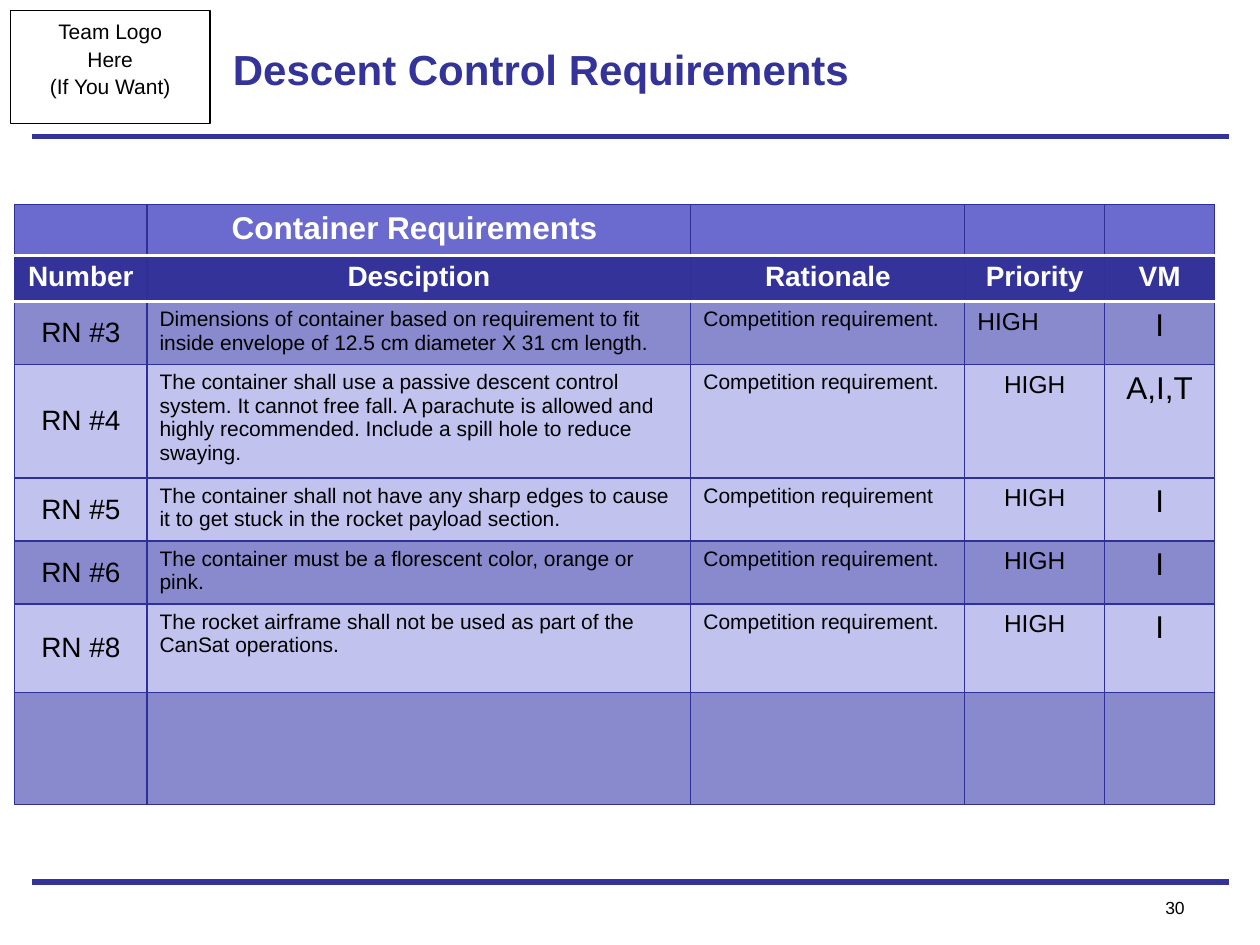
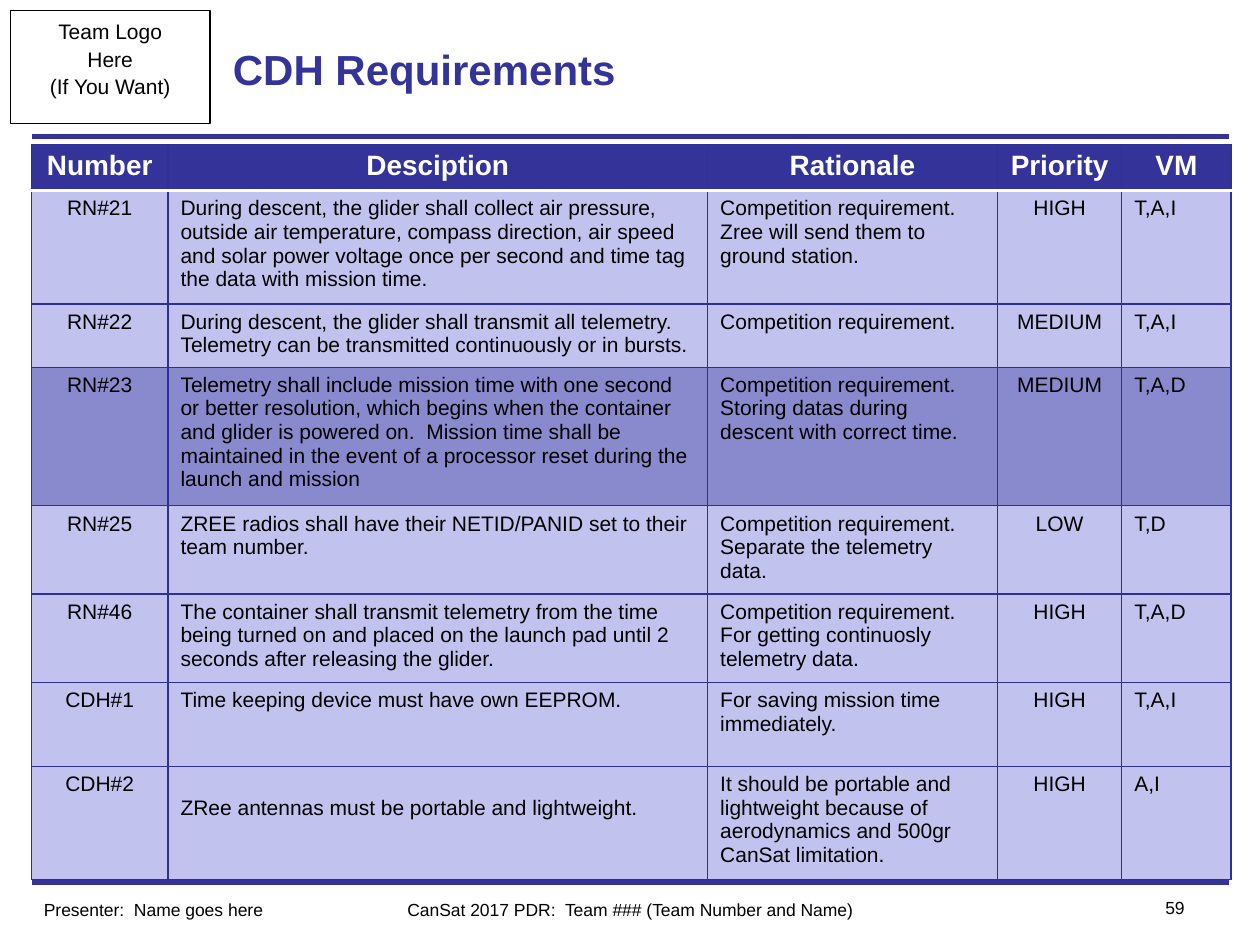
import dataclasses

import lxml.etree
import pptx
import pptx.dml.color
import pptx.enum.shapes
import pptx.enum.text
import pptx.oxml.ns
import pptx.util

ALIGN = pptx.enum.text.PP_ALIGN
ANCHOR = pptx.enum.text.MSO_ANCHOR
L, C, R = ALIGN.LEFT, ALIGN.CENTER, ALIGN.RIGHT


@dataclasses.dataclass(frozen=True)
class Theme:
    """Colours, type sizes and line widths of the deck."""
    font: str = "Arial"
    navy: str = "333399"
    edge: str = "2F2F98"
    band: str = "6B6BCF"
    dark: str = "8989CD"
    pale: str = "C2C2EF"
    ink: str = "000000"
    white: str = "FFFFFF"
    title: int = 24
    large: int = 18
    head: int = 16
    mid: int = 14
    body: int = 12
    foot: int = 10
    rule: float = 3
    thin: float = 0.75
    thick: float = 2


def rgb(tint):
    """Turn a hex string into a colour."""
    return pptx.dml.color.RGBColor.from_string(tint)


class Deck:
    """Draws on a grid of 120 columns by 90 rows."""

    def __init__(self, theme):
        """Start an empty file of 10 by 7.5 inches."""
        self.theme = theme
        self.file = pptx.Presentation()
        self.file.slide_width = pptx.util.Inches(10)
        self.file.slide_height = pptx.util.Inches(7.5)
        self.unit = self.file.slide_width / 120
        self.slide = None

    def grid(self, *spots):
        """Turn grid steps into lengths."""
        return [pptx.util.Emu(round(spot * self.unit)) for spot in spots]

    def fill(self, frame, lines, size, tint=None, bold=False, align=L, gap=None):
        """Fill a text frame, one paragraph a line."""
        for i, line in enumerate(lines):
            para = frame.add_paragraph() if i else frame.paragraphs[0]
            para.alignment = align
            if gap:
                para.line_spacing = gap
            run = para.add_run()
            run.text = line
            run.font.name = self.theme.font
            run.font.size = pptx.util.Pt(size)
            run.font.bold = bold
            run.font.color.rgb = rgb(tint or self.theme.ink)

    def text(self, box, line, size, anchor=ANCHOR.TOP, **style):
        """Add a wrapped text box."""
        frame = self.slide.shapes.add_textbox(*self.grid(*box)).text_frame
        frame.word_wrap = True
        frame.vertical_anchor = anchor
        self.fill(frame, [line], size, **style)

    def rule(self, row):
        """Add a rule across the slide."""
        ends = self.grid(3, row, 117, row)
        line = self.slide.shapes.add_connector(
            pptx.enum.shapes.MSO_CONNECTOR.STRAIGHT, *ends)
        line.line.color.rgb = rgb(self.theme.navy)
        line.line.width = pptx.util.Pt(self.theme.rule)
        props = line._element.spPr
        lxml.etree.SubElement(props, pptx.oxml.ns.qn("a:effectLst"))

    def badge(self, lines):
        """Add the framed box at the top left."""
        shape = self.slide.shapes.add_shape(
            pptx.enum.shapes.MSO_SHAPE.RECTANGLE, *self.grid(1, 1, 19, 10.8))
        shape.shadow.inherit = False
        shape.fill.background()
        shape.line.color.rgb = rgb(self.theme.ink)
        shape.line.width = pptx.util.Pt(self.theme.thin)
        shape.text_frame.word_wrap = True
        shape.text_frame.vertical_anchor = ANCHOR.TOP
        self.fill(shape.text_frame, lines, self.theme.body, align=C, gap=1.09)

    def page(self, title, number):
        """Start a slide with its rules, badge, title and number."""
        self.slide = self.file.slides.add_slide(self.file.slide_layouts[6])
        for row in (84, 13):
            self.rule(row)
        self.badge(["Team Logo", "Here", "(If You Want)"])
        self.text((21, 1, 78, 11), title, self.theme.title, ANCHOR.MIDDLE,
                  tint=self.theme.navy, bold=True)
        self.text((105, 84.8, 9, 3.2), number, self.theme.foot, align=R)

    def border(self, cell, above, below):
        """Line a cell, with heavy white above or below on request."""
        sides = {"L": False, "R": False, "T": above, "B": below}
        props = cell._tc.get_or_add_tcPr()
        for i, (side, heavy) in enumerate(sides.items()):
            width = self.theme.thick if heavy else self.theme.thin
            line = lxml.etree.Element(pptx.oxml.ns.qn("a:ln" + side),
                                      w=str(pptx.util.Pt(width)))
            fill = lxml.etree.SubElement(line, pptx.oxml.ns.qn("a:solidFill"))
            lxml.etree.SubElement(fill, pptx.oxml.ns.qn("a:srgbClr"),
                                  val=self.theme.white if heavy else self.theme.edge)
            props.insert(i, line)

    def table(self, spot, cols, rows, fills, cells, heads, looks):
        """Add a table; looks holds size, alignment and anchor by column."""
        size = (len(rows), len(cols))
        box = self.grid(*spot, sum(cols), sum(rows))
        table = self.slide.shapes.add_table(*size, *box).table
        table.horz_banding = False
        for col, wide in zip(table.columns, self.grid(*cols)):
            col.width = wide
        for row, high in zip(table.rows, self.grid(*rows)):
            row.height = high
        for r, (line, tint) in enumerate(zip(cells, fills)):
            for c, (text, look) in enumerate(zip(line, looks)):
                cell = table.cell(r, c)
                cell.fill.solid()
                cell.fill.fore_color.rgb = rgb(tint)
                self.border(cell, 0 < r <= len(heads), r < len(heads))
                if not text:
                    continue
                if r < len(heads):
                    self.fill(cell.text_frame, [text], heads[r],
                              self.theme.white, True, C)
                else:
                    points, align, cell.vertical_anchor = look
                    self.fill(cell.text_frame, [text], points, align=align)
        return table


HEADS = ("Number", "Desciption", "Rationale", "Priority", "VM")
RULED = "Competition requirement."

DESCENT = [
    ("", "Container Requirements ", "", "", ""),
    HEADS,
    ("RN #3", "Dimensions of container based on requirement to fit inside "
     "envelope of 12.5 cm diameter X 31 cm length.", RULED, "HIGH", "I"),
    ("RN #4", "The container shall use a passive descent control system. It "
     "cannot free fall. A parachute is allowed and highly recommended. "
     "Include a spill hole to reduce swaying.", RULED, "HIGH", "A,I,T"),
    ("RN #5", "The container shall not have any sharp edges to cause it to "
     "get stuck in the rocket payload section.",
     "Competition requirement", "HIGH", "I"),
    ("RN #6", "The container must be a florescent color, orange or pink.",
     RULED, "HIGH", "I"),
    ("RN #8", "The rocket airframe shall not be used as part of the CanSat "
     "operations.", RULED, "HIGH", "I"),
    ("",) * 5,
]

CDH = [
    HEADS,
    ("RN#21", "During descent, the glider shall collect air pressure, outside "
     "air temperature, compass direction, air speed and solar power voltage "
     "once per second and time tag the data with mission time.",
     RULED + " Zree will send them to ground station.", "HIGH", "T,A,I"),
    ("RN#22", "During descent, the glider shall transmit all telemetry. "
     "Telemetry can be transmitted continuously or in bursts.",
     RULED, "MEDIUM", "T,A,I"),
    ("RN#23", "Telemetry shall include mission time with one second or better "
     "resolution, which begins when the container and glider is powered on.  "
     "Mission time shall be maintained in the event of a processor reset "
     "during the launch and mission",
     RULED + " Storing datas during descent with correct time.",
     "MEDIUM", "T,A,D"),
    ("RN#25", "ZREE radios shall have their NETID/PANID set to their team "
     "number.", RULED + " Separate the telemetry data.", "LOW", "T,D"),
    ("RN#46", "The container shall transmit telemetry from the time being "
     "turned on and placed on the launch pad until 2 seconds after releasing "
     "the glider.", RULED + " For getting continuosly telemetry data.",
     "HIGH", "T,A,D"),
    ("CDH#1", "Time keeping device must have own EEPROM.",
     "For saving mission time immediately.", "HIGH", "T,A,I"),
    ("CDH#2", "ZRee antennas must be portable and lightweight.",
     "It should be portable and lightweight because of aerodynamics and "
     "500gr CanSat limitation.", "HIGH", "A,I"),
]


def main():
    """Build both slides and save them."""
    t = Theme()
    deck = Deck(t)
    top = ANCHOR.TOP

    deck.page("Descent Control Requirements", "30")
    looks = [(t.head, C, ANCHOR.MIDDLE), (t.body, L, top), (t.body, L, top),
             (t.mid, C, top), (t.large, C, top)]
    fills = [t.band, t.navy, t.dark, t.pale, t.pale, t.dark, t.pale, t.dark]
    table = deck.table((1.4, 19.5), (12.6, 51.8, 26.1, 13.3, 10.5),
                       (4.5, 4.4, 6, 10.2, 6, 6, 8.4, 10.7),
                       fills, DESCENT, (t.large, t.head), looks)
    table.cell(2, 3).text_frame.paragraphs[0].alignment = L

    deck.page("CDH Requirements", "59")
    deck.text((36, 85, 48, 3.2), "CanSat 2017 PDR:  Team ### (Team Number and Name)",
              t.foot, align=C)
    deck.text((3, 85, 30, 3.2), "Presenter:  Name goes here", t.foot)
    looks = [(t.body, align, top) for align in (C, L, L, C, L)]
    fills = [t.navy, t.pale, t.pale, t.dark] + [t.pale] * 4
    table = deck.table((3, 13.75), (13, 51.4, 27.6, 11.85, 10.4),
                       (4.2, 10.2, 5.7, 12.4, 8, 8, 8, 10.2),
                       fills, CDH, (t.head,), looks)
    table.cell(7, 1).margin_top = deck.grid(2.85)[0]

    deck.file.save("out.pptx")


if __name__ == "__main__":
    main()
